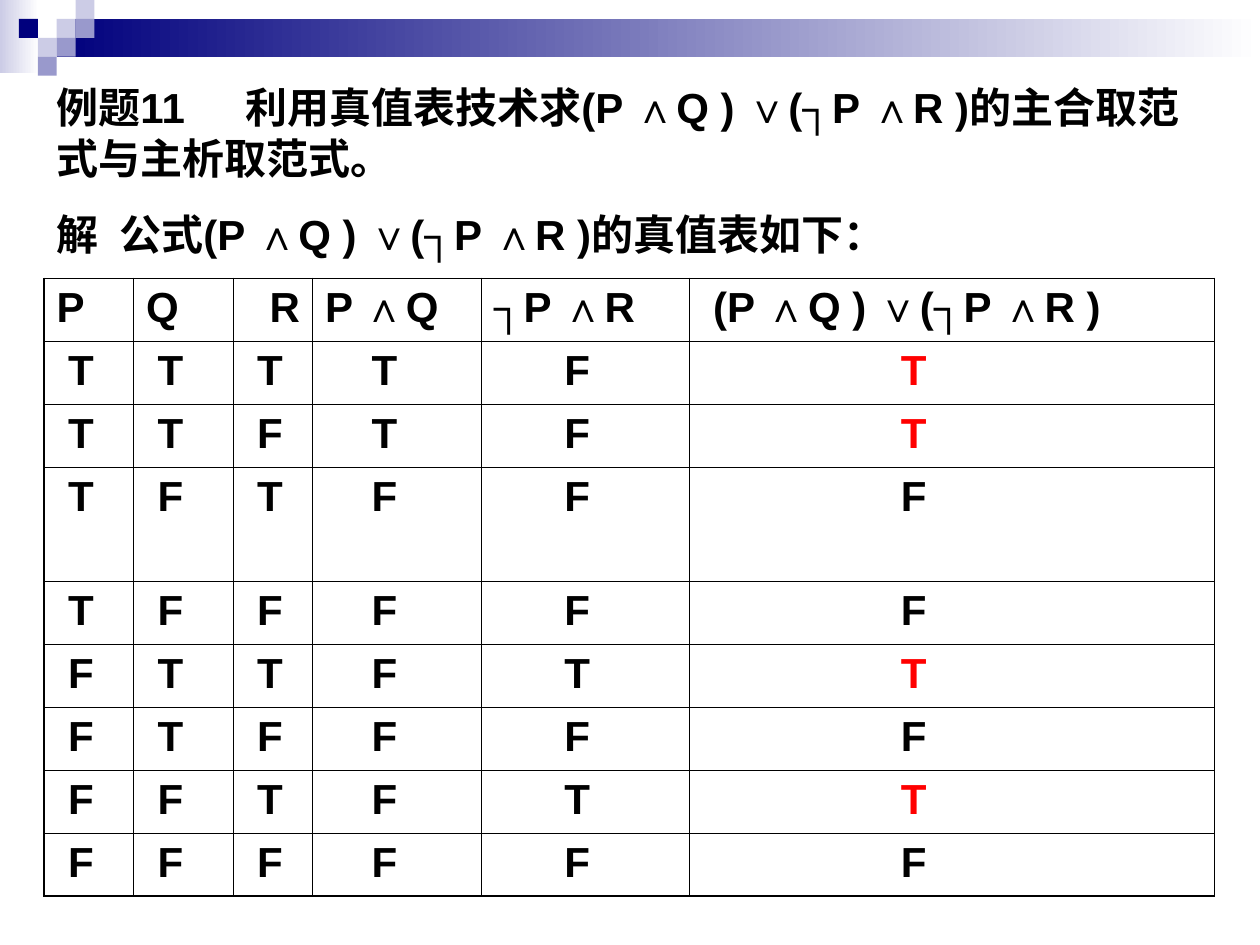
from dataclasses import dataclass
from itertools import product

from lxml import etree
from pptx import Presentation
from pptx.dml.color import RGBColor
from pptx.enum import shapes
from pptx.oxml import ns
from pptx.util import Inches, Pt


@dataclass(frozen=True)
class Theme:
    font: str = "Arial"
    size: float = 24
    ink: str = "000000"
    mark: str = "FF0000"
    navy: str = "00007D"
    mid: str = "9999CC"
    pale: str = "CCCCE6"
    white: str = "FFFFFF"
    thin: float = 0.45
    thick: float = 1.08


THEME = Theme()
UNIT = 0.15
FORM = "(P ∧Q ) ∨(┐P ∧R )"
HEADS = ["P", "Q", "R", "P ∧Q", "┐P ∧R", FORM]
HEAD_PADS = [0, 0, 0.19, 0, 0, 0.09]
PADS = [0.09, 0.09, 0.09, 0.37, 0.56, 1.58]
WIDTHS = [0.71, 0.79, 0.63, 1.34, 1.65, 4.17]
ROW, TALL, TALL_ROW = 0.5, 0.9, 3


def write(para, words, color=THEME.ink, indent=0, tab=None, before=None):
    props = para._p.get_or_add_pPr()
    props.set("marL", str(Inches(indent)))
    props.set("indent", "0")
    if tab:
        stops = etree.SubElement(props, ns.qn("a:tabLst"))
        etree.SubElement(stops, ns.qn("a:tab"), pos=str(Inches(tab)), algn="l")
    if before:
        para.space_before = Pt(before)
    run = para.add_run()
    run.text = words
    run.font.name = THEME.font
    run.font.size = Pt(THEME.size)
    run.font.bold = True
    run.font.color.rgb = RGBColor.from_string(color)


def block(slide, left, top, width, height, color, fade=False):
    """Add a rectangle, fading to white on the right if asked."""
    rect = slide.shapes.add_shape(
        shapes.MSO_SHAPE.RECTANGLE,
        Inches(left), Inches(top), Inches(width), Inches(height))
    rect.shadow.inherit = False
    rect.line.fill.background()
    if fade:
        rect.fill.gradient()
        rect.fill.gradient_angle = 0
        for stop, tone in zip(rect.fill.gradient_stops, (color, THEME.white)):
            stop.color.rgb = RGBColor.from_string(tone)
    else:
        rect.fill.solid()
        rect.fill.fore_color.rgb = RGBColor.from_string(color)


def banner(slide):
    block(slide, 0, 0, 0.31, 0.58, THEME.pale, fade=True)
    block(slide, 3 * UNIT, UNIT, 9.55, 2 * UNIT, THEME.navy, fade=True)
    tiles = [(3, 1, THEME.pale), (4, 0, THEME.pale), (4, 1, THEME.mid),
             (2, 2, THEME.pale), (1, 1, THEME.navy), (3, 2, THEME.mid),
             (2, 3, THEME.mid)]
    for col, row, color in tiles:
        block(slide, col * UNIT, row * UNIT, UNIT, UNIT, color)


def problem(slide):
    box = slide.shapes.add_textbox(
        Inches(0.35), Inches(0.6), Inches(9.21), Inches(1.51))
    frame = box.text_frame
    frame.word_wrap = True
    write(frame.paragraphs[0],
          f"例题11\t利用真值表技术求{FORM}的主合取范式与主析取范式。", tab=1.56)
    write(frame.add_paragraph(), f"解\t公式{FORM}的真值表如下：",
          tab=0.5, before=15)


def border(cell, edges):
    """Draw cell borders from a map of edge letter to line width."""
    props = cell._tc.get_or_add_tcPr()
    for spot, edge in enumerate("LRTB"):
        line = etree.Element(ns.qn(f"a:ln{edge}"), w=str(Pt(edges[edge])))
        fill = etree.SubElement(line, ns.qn("a:solidFill"))
        etree.SubElement(fill, ns.qn("a:srgbClr"), val=THEME.ink)
        props.insert(spot, line)


def truths():
    """List the values of each column for every choice of P, Q and R."""
    rows = []
    for p, q, r in product((True, False), repeat=3):
        left, right = p and q, not p and r
        rows.append([p, q, r, left, right, left or right])
    return rows


def grid(slide):
    values = truths()
    last, end = len(values), len(HEADS) - 1
    heights = [TALL if i == TALL_ROW else ROW for i in range(last + 1)]
    table = slide.shapes.add_table(
        last + 1, end + 1, Inches(0.35), Inches(2.21),
        Inches(sum(WIDTHS)), Inches(sum(heights))).table
    table.first_row = table.horz_banding = False
    for col, width in zip(table.columns, WIDTHS):
        col.width = Inches(width)
    for row, height in zip(table.rows, heights):
        row.height = Inches(height)
    for i, j in product(range(last + 1), range(end + 1)):
        cell = table.cell(i, j)
        cell.fill.background()
        outer = {"L": j == 0, "R": j == end, "T": i == 0, "B": i == last}
        border(cell, {edge: THEME.thick if out else THEME.thin
                      for edge, out in outer.items()})
        para = cell.text_frame.paragraphs[0]
        if i == 0:
            write(para, HEADS[j], indent=HEAD_PADS[j])
        else:
            true = values[i - 1][j]
            write(para, "T" if true else "F", indent=PADS[j],
                  color=THEME.mark if true and j == end else THEME.ink)


def main():
    deck = Presentation()
    deck.slide_width, deck.slide_height = Inches(10), Inches(7.5)
    slide = deck.slides.add_slide(deck.slide_layouts[6])
    banner(slide)
    problem(slide)
    grid(slide)
    deck.save("out.pptx")


if __name__ == "__main__":
    main()
